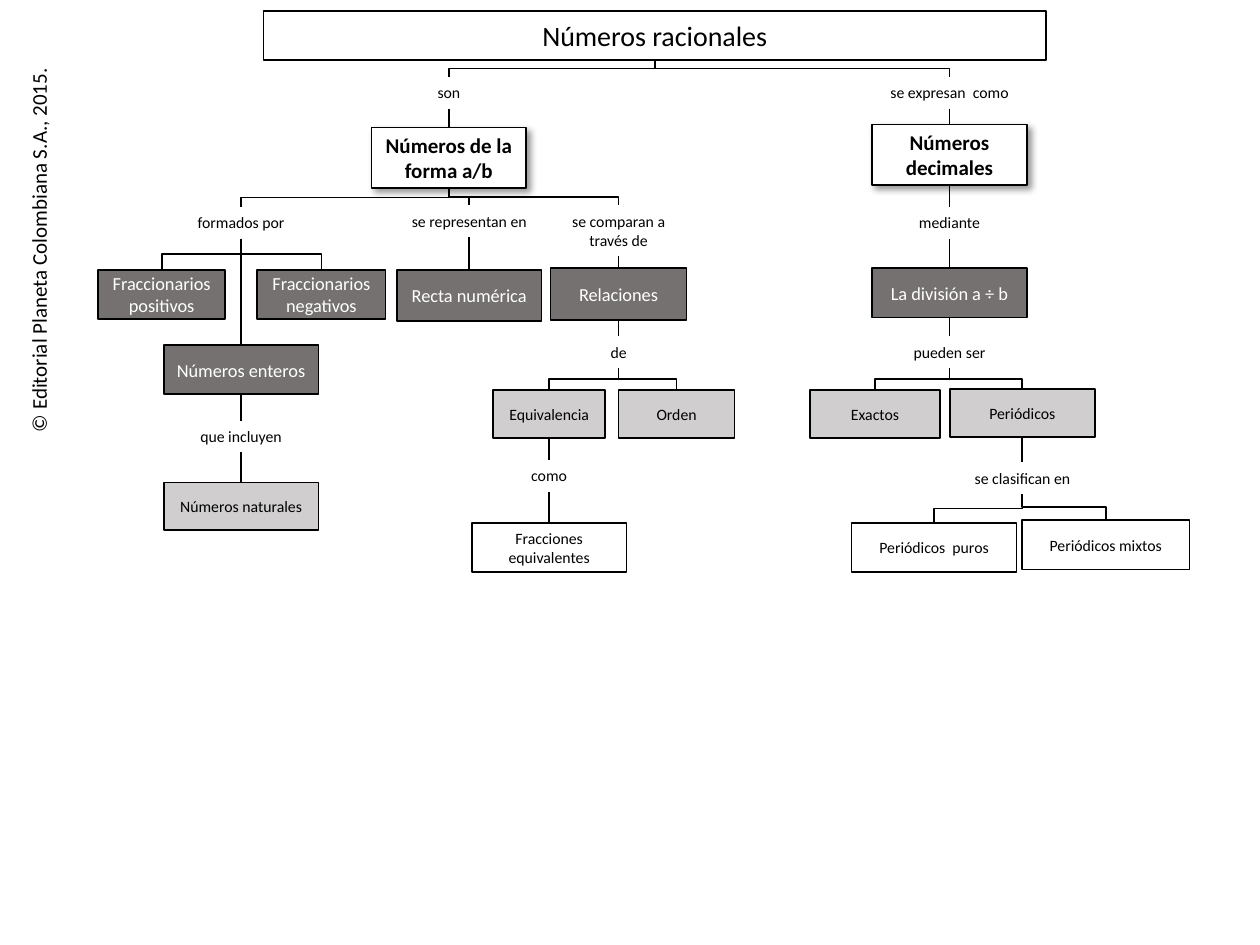
from lxml import etree
from pptx import Presentation
from pptx.dml.color import RGBColor
from pptx.enum.shapes import MSO_CONNECTOR, MSO_SHAPE
from pptx.enum.text import MSO_ANCHOR, MSO_AUTO_SIZE, PP_ALIGN
from pptx.oxml.ns import qn
from pptx.util import Cm, Pt

RECT = MSO_SHAPE.RECTANGLE
ELBOW = MSO_CONNECTOR.ELBOW
CENTER = PP_ALIGN.CENTER
LEFT = PP_ALIGN.LEFT
MIDDLE = MSO_ANCHOR.MIDDLE
GROW = MSO_AUTO_SIZE.SHAPE_TO_FIT_TEXT
BOTTOM_SIDE, TOP_SIDE = 2, 0

COLORS = {"black": "000000", "white": "FFFFFF", "dark": "767171", "light": "D0CECE"}

# kind: (fill, text colour, size, bold, shadow)
BOX_KINDS = {
    "title": ("white", "black", 16, False, False),
    "branch": ("white", "black", 12, True, True),
    "dark": ("dark", "white", 10.5, False, False),
    "light": ("light", "black", 9, False, False),
    "leaf": ("white", "black", 9, False, False),
}

# text, parent, kind, centre x, top, width, height (cm)
NODES = [
    ("Números racionales", None, "title", 13.2, 0.23, 15.77, 0.98),
    ("son", "Números racionales", "label", 9.05, 1.55, 3.12, 0.64),
    ("Números de la forma a/b", "son", "branch", 9.05, 2.57, 3.12, 1.22),
    ("formados por", "Números de la forma a/b", "label", 4.86, 4.17, 3.12, 0.64),
    ("Fraccionarios positivos", "formados por", "dark", 3.26, 5.44, 2.57, 0.99),
    ("Fraccionarios negativos", "formados por", "dark", 6.48, 5.44, 2.59, 0.99),
    ("Números enteros", "formados por", "dark", 4.86, 6.96, 3.12, 0.99),
    ("que incluyen", "Números enteros", "label", 4.86, 8.48, 3.1, 0.64),
    ("Números naturales", "que incluyen", "light", 4.86, 9.73, 3.12, 0.96),
    ("se representan en", "Números de la forma a/b", "label", 9.46, 4.14, 3.12, 0.64),
    ("Recta numérica", "se representan en", "dark", 9.46, 5.44, 2.92, 1.04),
    ("se comparan a través de", "Números de la forma a/b", "label", 12.47, 4.14, 3.12, 1.02),
    ("Relaciones", "se comparan a través de", "dark", 12.47, 5.41, 2.74, 1.04),
    ("de", "Relaciones", "label", 12.47, 6.78, 3.1, 0.64),
    ("Equivalencia", "de", "light", 11.07, 7.87, 2.26, 0.96),
    ("Orden", "de", "light", 13.64, 7.87, 2.34, 0.96),
    ("como", "Equivalencia", "label", 11.07, 9.27, 3.1, 0.64),
    ("Fracciones equivalentes", "como", "leaf", 11.07, 10.54, 3.12, 0.99),
    ("se expresan  como", "Números racionales", "label", 19.14, 1.55, 3.12, 0.64),
    ("Números decimales", "se expresan  como", "branch", 19.14, 2.51, 3.12, 1.22),
    ("mediante", "Números decimales", "label", 19.14, 4.17, 3.12, 0.64),
    ("La división a ÷ b", "mediante", "dark", 19.14, 5.41, 3.12, 0.99),
    ("pueden ser", "La división a ÷ b", "label", 19.14, 6.78, 3.1, 0.64),
    ("Exactos", "pueden ser", "light", 17.64, 7.87, 2.62, 0.96),
    ("Periódicos", "pueden ser", "light", 20.61, 7.85, 2.92, 0.96),
    ("se clasifican en", "Periódicos", "label", 20.61, 9.32, 3.1, 0.64),
    ("Periódicos  puros", "se clasifican en", "leaf", 18.83, 10.54, 3.33, 0.99),
    ("Periódicos mixtos", "se clasifican en", "leaf", 22.29, 10.49, 3.38, 0.99),
]


class ConceptMap:
    font = "Calibri"
    line_width = Pt(1)

    def __init__(self, slide):
        self.slide = slide

    def color(self, name):
        return RGBColor.from_string(COLORS[name])

    def set_text(self, s, text, size, color="black", bold=False, align=CENTER):
        tf = s.text_frame
        tf.text = text
        p = tf.paragraphs[0]
        p.alignment = align
        font = p.runs[0].font
        font.name, font.size, font.bold = self.font, Pt(size), bold
        font.color.rgb = self.color(color)

    def label(self, text, x, y, w, h, size=9, wrap=True, align=CENTER):
        s = self.slide.shapes.add_textbox(Cm(x), Cm(y), Cm(w), Cm(h))
        s.text_frame.word_wrap = wrap
        s.text_frame.auto_size = GROW
        self.set_text(s, text, size, align=align)
        return s

    def box(self, text, kind, x, y, w, h):
        fill, color, size, bold, shadow = BOX_KINDS[kind]
        s = self.slide.shapes.add_shape(RECT, Cm(x), Cm(y), Cm(w), Cm(h))
        s.fill.solid()
        s.fill.fore_color.rgb = self.color(fill)
        s.line.color.rgb = self.color("black")
        s.line.width = self.line_width
        s.shadow.inherit = False
        if shadow:
            self.drop_shadow(s)
        s.text_frame.word_wrap = True
        s.text_frame.vertical_anchor = MIDDLE
        self.set_text(s, text, size, color, bold)
        return s

    def drop_shadow(self, s):
        effects = s._element.spPr.find(qn("a:effectLst"))
        outer = etree.SubElement(effects, qn("a:outerShdw"), blurRad=str(Pt(4)),
                                 dist=str(Pt(3)), dir="2700000", algn="tl", rotWithShape="0")
        rgb = etree.SubElement(outer, qn("a:srgbClr"), val=COLORS["black"])
        etree.SubElement(rgb, qn("a:alpha"), val="40000")

    def link(self, parent, child):
        """Join parent to child with an elbow that leaves and arrives vertically."""
        c = self.slide.shapes.add_connector(ELBOW, 0, 0, 0, 0)
        c.begin_connect(parent, BOTTOM_SIDE)
        c.end_connect(child, TOP_SIDE)
        x1, y1, x2, y2 = c.begin_x, c.begin_y, c.end_x, c.end_y
        # The preset runs sideways, so its frame is laid flat and turned a quarter.
        c.width, c.height = y2 - y1, abs(x2 - x1)
        c.left = (x1 + x2 - c.width) // 2
        c.top = (y1 + y2 - c.height) // 2
        to_right = x2 > x1
        xfrm = c._element.spPr.find(qn("a:xfrm"))
        xfrm.set("rot", "16200000" if to_right else "5400000")
        xfrm.set("flipH", "1" if to_right else "0")
        xfrm.set("flipV", "0")
        c.line.color.rgb = self.color("black")
        c.line.width = self.line_width
        etree.SubElement(c._element.spPr, qn("a:effectLst"))


def main():
    prs = Presentation()
    prs.slide_width, prs.slide_height = Cm(25.4), Cm(19.05)
    cmap = ConceptMap(prs.slides.add_slide(prs.slide_layouts[6]))

    credit = cmap.label("© Editorial Planeta Colombiana S.A., 2015.", -3.18, 4.62, 7.92, 0.76,
                        size=12, wrap=False, align=LEFT)
    credit.rotation = 270

    placed = {}
    for text, parent, kind, cx, y, w, h in NODES:
        x = cx - w / 2
        if kind == "label":
            placed[text] = cmap.label(text, x, y, w, h)
        else:
            placed[text] = cmap.box(text, kind, x, y, w, h)
        if parent:
            cmap.link(placed[parent], placed[text])

    prs.save("out.pptx")


if __name__ == "__main__":
    main()
